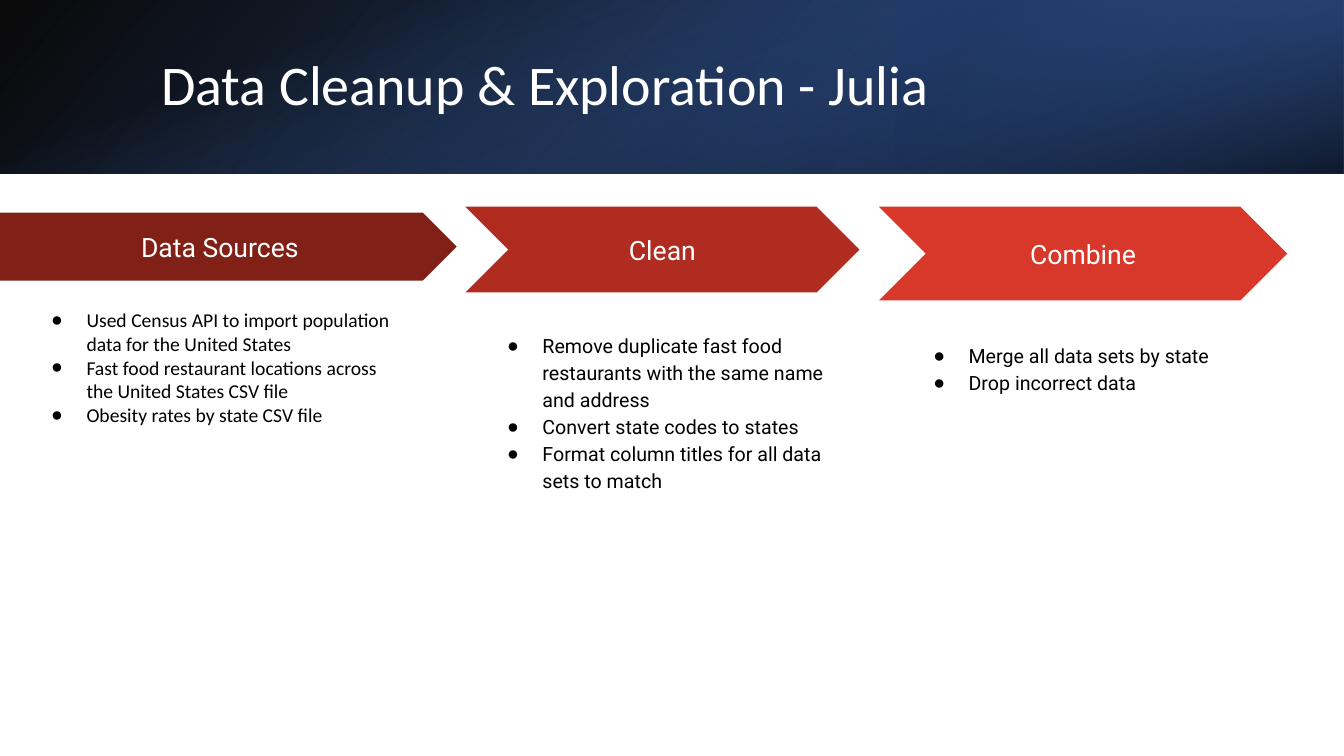
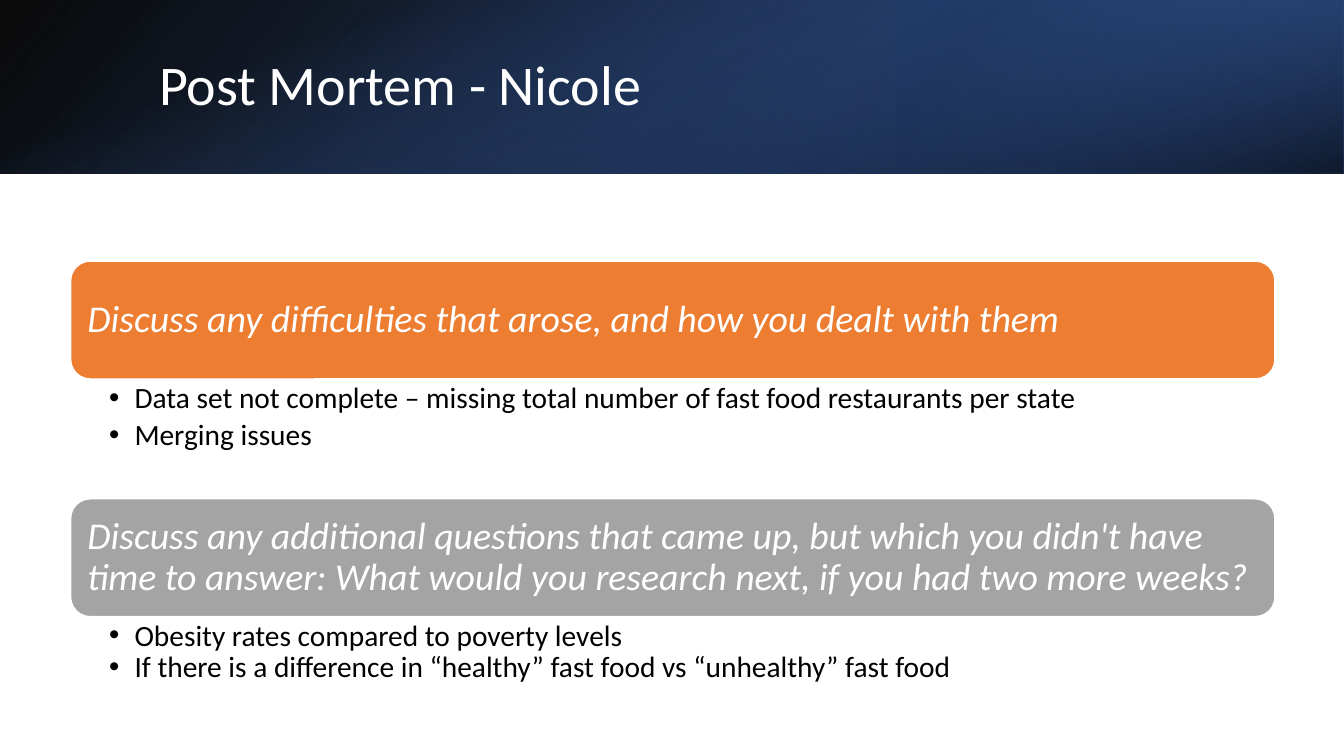
from dataclasses import dataclass

from lxml import etree
from pptx import Presentation
from pptx import util as u
from pptx.dml.color import RGBColor
from pptx.enum import shapes, text
from pptx.oxml import ns

WIDTH, HEIGHT, BAND_HEIGHT = 33.87, 19.05, 4.37
WHITE, BLACK = "FFFFFF", "000000"
SANS, ROBOTO = "Calibri", "Roboto"
TWO_CONTENT, COMPARISON = 3, 4


@dataclass
class Area:
    left: float
    top: float
    width: float
    height: float

    def lengths(self) -> list[u.Cm]:
        return [u.Cm(side) for side in (self.left, self.top, self.width, self.height)]


@dataclass
class Stop:
    position: int
    colour: str
    opacity: int


@dataclass
class Gradient:
    area: Area
    stops: list[Stop]
    angle: int
    rotation: int = 0
    flipped: bool = False


@dataclass
class TextStyle:
    font: str
    size: float
    colour: str
    italic: bool = False
    line_spacing: float = 1.0
    align: text.PP_ALIGN = text.PP_ALIGN.LEFT


@dataclass
class ListStyle:
    style: TextStyle
    bullet: str
    indent: float
    hanging: float
    insets: tuple[float, float, float, float]
    gap: float = 0


@dataclass
class Step:
    label: str
    shape: shapes.MSO_SHAPE
    colour: str
    arrow: Area
    items: list[str]
    list_area: Area
    font: str = ROBOTO
    line_spacing: float = 1.15


@dataclass
class Topic:
    question: str
    colour: str
    top: float
    items: list[str]
    list_height: float
    gap: float = 0


BAND = [
    Gradient(Area(0, 0, WIDTH, BAND_HEIGHT),
             [Stop(0, BLACK, 96), Stop(100, "2F5496", 100)], 140, flipped=True),
    Gradient(Area(22.58, 0, 11.29, BAND_HEIGHT),
             [Stop(0, "1F3864", 68), Stop(19, "1F3864", 68), Stop(100, "4472C4", 79)],
             320, rotation=180, flipped=True),
    Gradient(Area((WIDTH - BAND_HEIGHT) / 2, (BAND_HEIGHT - WIDTH) / 2, BAND_HEIGHT, WIDTH),
             [Stop(0, "4472C4", 0), Stop(23, "4472C4", 0),
              Stop(99, BLACK, 74), Stop(100, BLACK, 74)], 340, rotation=90),
]

STEPS = [
    Step("Data Sources", shapes.MSO_SHAPE.PENTAGON, "802017", Area(0, 5.36, 11.51, 1.71),
         ["Used Census API to import population data for the United States",
          "Fast food restaurant locations across the United States CSV file",
          "Obesity rates by state CSV file"],
         Area(0.58, 7.44, 9.96, 11.46), SANS, 1.0),
    Step("Clean", shapes.MSO_SHAPE.CHEVRON, "B02C20", Area(11.73, 5.21, 9.93, 2.16),
         ["Remove duplicate fast food restaurants with the same name and address",
          "Convert state codes to states",
          "Format column titles for all data sets to match"],
         Area(12.07, 8, 9.27, 8.41)),
    Step("Combine", shapes.MSO_SHAPE.CHEVRON, "D83829", Area(22.15, 5.21, 10.29, 2.36),
         ["Merge all data sets by state", "Drop incorrect data"],
         Area(22.81, 8.25, 9.14, 9.22)),
]

TOPICS = [
    Topic("Discuss any difficulties that arose, and how you dealt with them", "ED7D31", 6.58,
          ["Data set not complete – missing total number of fast food restaurants per state",
           "Merging issues"], 3.02, 4.2),
    Topic("Discuss any additional questions that came up, but which you didn't have time to "
          "answer: What would you research next, if you had two more weeks?", "A4A4A4", 12.57,
          ["Obesity rates compared to poverty levels",
           "If there is a difference in “healthy” fast food vs “unhealthy” fast food"], 2.44),
]

TITLE_STYLE = TextStyle(SANS, 40, WHITE, line_spacing=0.9)
STEP_STYLE = TextStyle(ROBOTO, 19, WHITE, align=text.PP_ALIGN.CENTER)
QUESTION_STYLE = TextStyle(SANS, 27, WHITE, italic=True, line_spacing=0.9)
ANSWER_STYLE = TextStyle(SANS, 21, BLACK, line_spacing=0.9)


def rgb(colour: str) -> RGBColor:
    return RGBColor.from_string(colour)


def place(box, area: Area) -> None:
    box.left, box.top, box.width, box.height = area.lengths()


def set_frame(frame, insets: tuple, anchor: text.MSO_ANCHOR) -> None:
    frame.word_wrap = True
    frame.auto_size = text.MSO_AUTO_SIZE.NONE
    frame.vertical_anchor = anchor
    (frame.margin_left, frame.margin_top,
     frame.margin_right, frame.margin_bottom) = [u.Cm(inset) for inset in insets]


def format_para(para, style: TextStyle) -> None:
    para.alignment = style.align
    para.line_spacing = style.line_spacing
    para.space_before = para.space_after = u.Pt(0)
    font = para.font
    font.name, font.size = style.font, u.Pt(style.size)
    font.bold, font.italic = False, style.italic
    font.color.rgb = rgb(style.colour)


def add_bullet(para, look: ListStyle) -> None:
    """Add bullet and hanging indent ahead of the paragraph's font settings."""
    props = para._p.get_or_add_pPr()
    props.set("marL", str(u.Cm(look.indent)))
    props.set("indent", str(-u.Cm(look.hanging)))
    colour = etree.Element(ns.qn("a:buClr"))
    etree.SubElement(colour, ns.qn("a:srgbClr"), val=look.style.colour)
    mark = etree.Element(ns.qn("a:buChar"), char=look.bullet)
    font = props.find(ns.qn("a:defRPr"))
    font.addprevious(colour)
    font.addprevious(mark)


def fill_list(box, area: Area, items: list[str], look: ListStyle) -> None:
    place(box, area)
    set_frame(box.text_frame, look.insets, text.MSO_ANCHOR.TOP)
    box.text_frame.text = "\n".join(items)
    for number, para in enumerate(box.text_frame.paragraphs):
        format_para(para, look.style)
        if number:
            para.space_before = u.Pt(look.gap)
        add_bullet(para, look)


def add_label(page, kind: shapes.MSO_SHAPE, area: Area, colour: str, label: str,
              style: TextStyle, inset: float):
    box = page.shapes.add_shape(kind, *area.lengths())
    box.shadow.inherit = False
    box.fill.solid()
    box.fill.fore_color.rgb = rgb(colour)
    box.line.fill.background()
    set_frame(box.text_frame, (inset,) * 4, text.MSO_ANCHOR.MIDDLE)
    box.text_frame.text = label
    format_para(box.text_frame.paragraphs[0], style)
    return box


def set_gradient(box, gradient: Gradient) -> None:
    fill = etree.Element(ns.qn("a:gradFill"))
    stops = etree.SubElement(fill, ns.qn("a:gsLst"))
    for stop in gradient.stops:
        node = etree.SubElement(stops, ns.qn("a:gs"), pos=str(stop.position * 1000))
        colour = etree.SubElement(node, ns.qn("a:srgbClr"), val=stop.colour)
        etree.SubElement(colour, ns.qn("a:alpha"), val=str(stop.opacity * 1000))
    etree.SubElement(fill, ns.qn("a:lin"), ang=str(gradient.angle * 60000), scaled="0")
    box.element.spPr.find(ns.qn("a:prstGeom")).addnext(fill)


def draw_band(page) -> None:
    """Draw the header band behind the placeholders."""
    title = page.shapes.title.element
    for gradient in BAND:
        box = page.shapes.add_shape(shapes.MSO_SHAPE.RECTANGLE, *gradient.area.lengths())
        box.shadow.inherit = False
        box.line.fill.background()
        box.rotation = gradient.rotation
        if gradient.flipped:
            box.element.spPr.find(ns.qn("a:xfrm")).set("flipH", "1")
        set_gradient(box, gradient)
        title.addprevious(box.element)


def add_page(deck, layout: int, title: str, title_left: float, list_count: int) -> tuple:
    """Return a page with band and title, and its placeholders for lists."""
    page = deck.slides.add_slide(deck.slide_layouts[layout])
    draw_band(page)
    heading = page.shapes.title
    place(heading, Area(title_left, 0.97, 27.89, 2.44))
    set_frame(heading.text_frame, (0.25, 0.13, 0.25, 0.13), text.MSO_ANCHOR.MIDDLE)
    heading.text_frame.text = title
    format_para(heading.text_frame.paragraphs[0], TITLE_STYLE)
    bodies = [box for box in page.placeholders if box.placeholder_format.idx]
    for spare in bodies[list_count:]:
        spare.element.getparent().remove(spare.element)
    return page, bodies[:list_count]


def build_steps(deck) -> None:
    page, bodies = add_page(deck, COMPARISON, "Data Cleanup & Exploration - Julia",
                            3.81, len(STEPS))
    for step, body in zip(STEPS, bodies):
        add_label(page, step.shape, step.arrow, step.colour, step.label, STEP_STYLE, 0.33)
        style = TextStyle(step.font, 14, BLACK, line_spacing=step.line_spacing)
        fill_list(body, step.list_area, step.items,
                  ListStyle(style, "●", 1.27, 0.89, (0.33,) * 4))


def build_topics(deck) -> None:
    page, bodies = add_page(deck, TWO_CONTENT, "Post Mortem - Nicole", 3.76, len(TOPICS))
    for topic, body in zip(TOPICS, bodies):
        bar = Area(1.78, topic.top, 30.35, 2.97)
        box = add_label(page, shapes.MSO_SHAPE.ROUNDED_RECTANGLE, bar, topic.colour,
                        topic.question, QUESTION_STYLE, 0.28)
        box.line.color.rgb = rgb(WHITE)
        box.line.width = u.Pt(1)
        fill_list(body, Area(bar.left, bar.top + bar.height, bar.width, topic.list_height),
                  topic.items,
                  ListStyle(ANSWER_STYLE, "•", 0.64, 0.64, (0.97, 0.1, 0.53, 0.1), topic.gap))


def main() -> None:
    deck = Presentation()
    deck.slide_width, deck.slide_height = u.Cm(WIDTH), u.Cm(HEIGHT)
    build_steps(deck)
    build_topics(deck)
    deck.save("out.pptx")


if __name__ == "__main__":
    main()
